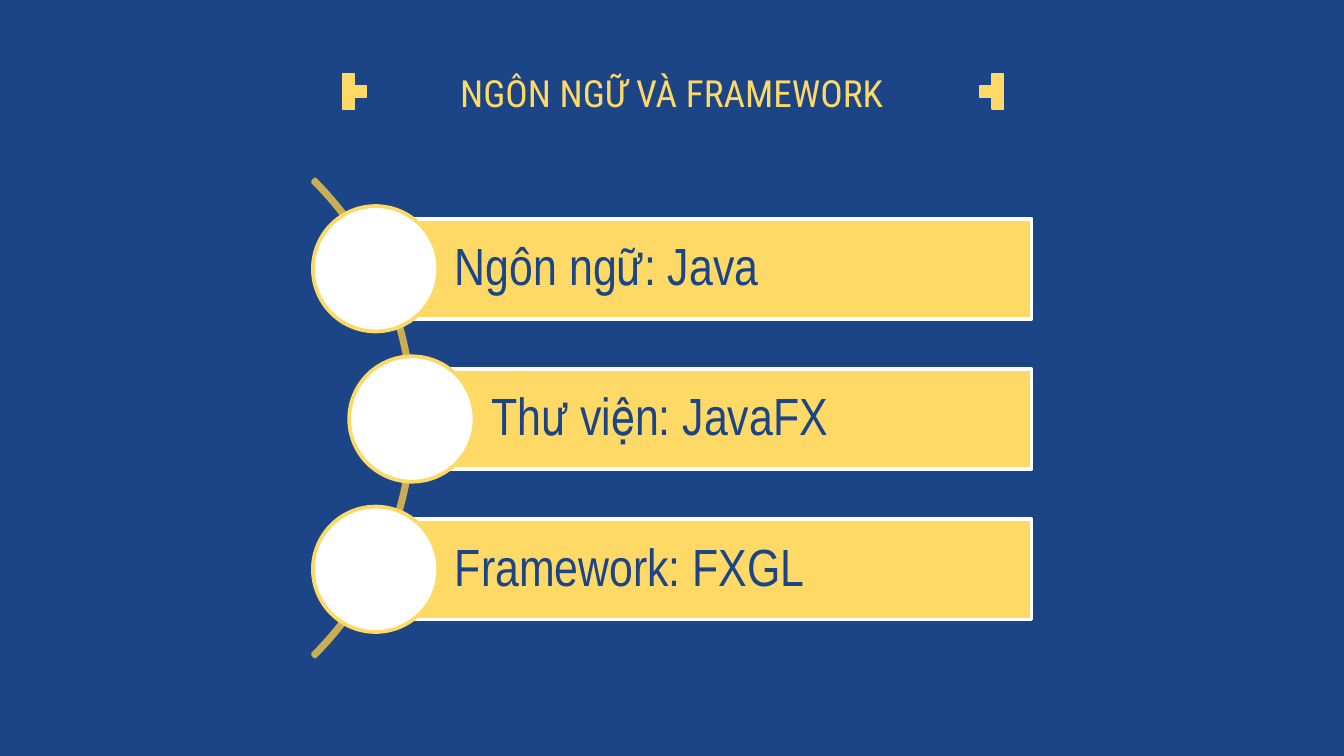
from dataclasses import dataclass

from pptx import Presentation
from pptx import util as u
from pptx.dml.color import RGBColor
from pptx.enum import shapes, text

KIND = shapes.MSO_SHAPE
ALIGN = text.PP_ALIGN


@dataclass(frozen=True)
class Theme:
    blue: str = "1C4587"
    gold: str = "FFD966"
    dim: str = "CCAE52"
    white: str = "FFFFFF"
    head: str = "Roboto Condensed"
    body: str = "Arial Narrow"
    big: int = 28
    mid: int = 20
    thin: float = 0.75
    thick: int = 2


def write(box, words, *, font, size, color, align=ALIGN.LEFT, pads=(1, 1, 1, 1), cell, space=1.0):
    frame = box.text_frame
    frame.word_wrap = True
    frame.vertical_anchor = text.MSO_ANCHOR.MIDDLE
    frame.margin_left, frame.margin_top, frame.margin_right, frame.margin_bottom = (
        int(pad * cell) for pad in pads)
    para = frame.paragraphs[0]
    para.alignment = align
    para.line_spacing = space
    run = para.add_run()
    run.text = words
    run.font.name = font
    run.font.size = u.Pt(size)
    run.font.color.rgb = RGBColor.from_string(color)


class Deck:
    COLS, ROWS = 100, 56.25

    def __init__(self, theme):
        self.theme = theme
        self.file = Presentation()
        self.file.slide_width, self.file.slide_height = u.Inches(10), u.Inches(5.625)
        self.cell = self.file.slide_width / self.COLS
        self.slide = self.file.slides.add_slide(self.file.slide_layouts[6])
        fill = self.slide.background.fill
        fill.solid()
        fill.fore_color.rgb = RGBColor.from_string(theme.blue)

    def place(self, *cells):
        return [round(n * self.cell) for n in cells]

    def shape(self, kind, area, fill, line, width):
        item = self.slide.shapes.add_shape(kind, *self.place(*area))
        item.shadow.inherit = False
        if fill:
            item.fill.solid()
            item.fill.fore_color.rgb = RGBColor.from_string(fill)
        else:
            item.fill.background()
        item.line.color.rgb = RGBColor.from_string(line)
        item.line.width = u.Pt(width)
        return item

    def title(self, words):
        t = self.theme
        box = self.slide.shapes.add_textbox(*self.place(17.8, 4.4, 64.4, 4.9))
        write(box, words, font=t.head, size=t.mid, color=t.gold,
              align=ALIGN.CENTER, cell=self.cell)

    def mark(self, left, side):
        t, step, top = self.theme, 0.87, 5.5
        for col, row in [(0, 0), (0, 1), (0, 2), (side, 1)]:
            area = (left + col * step, top + row * step, step, step)
            self.shape(KIND.RECTANGLE, area, t.gold, t.gold, t.thin)

    def arc(self, left, top, size):
        t = self.theme
        curve = self.shape(KIND.BLOCK_ARC, (left, top, size, size), None, t.dim, t.thick)
        for i, turn in enumerate((189, 27, 0.005)):
            curve.adjustments[i] = turn

    def bar(self, words, left, mid, right=76.75, high=7.46, disc=9.33):
        t = self.theme
        area = (left, mid - high / 2, right - left, high)
        box = self.shape(KIND.RECTANGLE, area, t.gold, t.white, t.thick)
        write(box, words, font=t.body, size=t.big, color=t.blue,
              pads=(5.9, 0.8, 0.8, 0.8), cell=self.cell, space=0.9)
        ring = (left - disc / 2, mid - disc / 2, disc, disc)
        self.shape(KIND.OVAL, ring, t.white, t.gold, t.thick)


def main():
    deck = Deck(Theme())
    deck.mark(25.5, 1)
    deck.mark(73.8, -1)
    deck.title("NGÔN NGỮ VÀ FRAMEWORK")
    deck.arc(-19.4, 6, 50.2)
    items = [("Ngôn ngữ: Java", 27.95), ("Thư viện: JavaFX", 30.65), ("Framework: FXGL", 27.95)]
    for i, (words, left) in enumerate(items):
        deck.bar(words, left, 20 + i * 11.18)
    deck.file.save("out.pptx")


if __name__ == "__main__":
    main()
